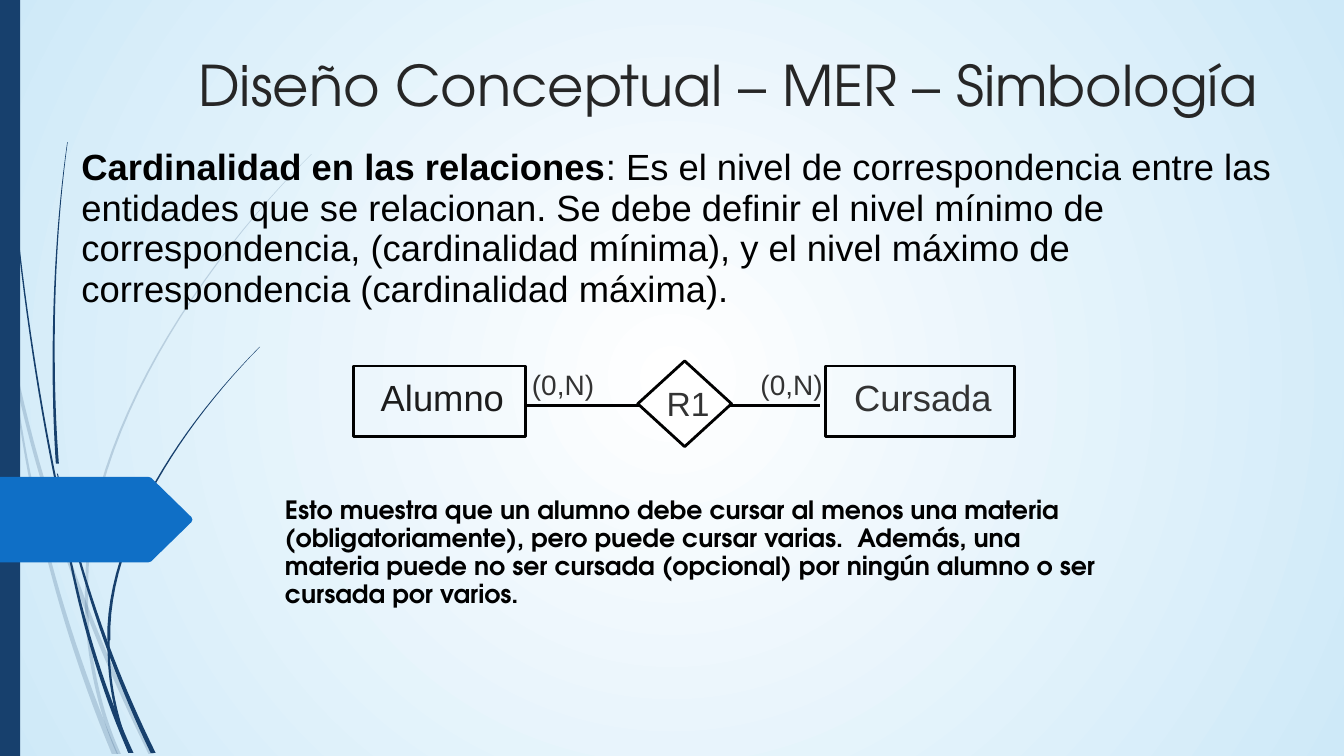
import dataclasses

import pptx
import pptx.dml.color
import pptx.enum.shapes
import pptx.enum.text
import pptx.oxml
import pptx.oxml.ns
import pptx.util

Pt = pptx.util.Pt
Shapes = pptx.enum.shapes.MSO_SHAPE


@dataclasses.dataclass(frozen=True)
class Theme:
    """Colours, fonts and type sizes of the slide."""
    navy: str = "17406D"
    blue: str = "0F6FC6"
    sky: str = "CEE9F8"
    white: str = "FFFFFF"
    black: str = "000000"
    title_ink: str = "262626"
    dark_ink: str = "1C1C1C"
    gray_ink: str = "333333"
    body_font: str = "Arial"
    display_font: str = "TeX Gyre Adventor"
    title_size: int = 40
    body_size: int = 26
    relation_size: int = 24
    cardinality_size: int = 20
    note_size: int = 18
    line_width: int = 2
    pale_opacity: int = 19


@dataclasses.dataclass(frozen=True)
class Wisp:
    """A tapering blade along a cubic curve, measured in grid steps."""
    start: tuple
    first_pull: tuple
    second_pull: tuple
    end: tuple
    start_width: float
    end_width: float

    def center(self, t):
        """Return the point of the curve at t from 0 to 1."""
        weights = ((1 - t) ** 3, 3 * t * (1 - t) ** 2, 3 * t ** 2 * (1 - t), t ** 3)
        anchors = (self.start, self.first_pull, self.second_pull, self.end)
        return tuple(sum(w * anchor[axis] for w, anchor in zip(weights, anchors))
                     for axis in (0, 1))

    def outline(self, steps=24):
        """Return the left edge downwards, then the right edge upwards."""
        left, right = [], []
        for step in range(steps + 1):
            t = step / steps
            x, y = self.center(t)
            half = (self.start_width + (self.end_width - self.start_width) * t) / 2
            left.append((x - half, y))
            right.append((x + half, y))
        return left + right[::-1]


THEME = Theme()
GRID = Pt(0.72)

PALE_WISPS = {
    "outer stem": Wisp((0, 285), (23, 440), (75, 598), (150, 748), 3, 5),
    "inner stem": Wisp((11, 350), (25, 485), (62, 625), (114, 748), 1, 6),
    "sweep": Wisp((309, 153), (200, 262), (86, 430), (86, 582), 0.5, 3),
    "sweep tail": Wisp((86, 582), (84, 640), (98, 705), (118, 748), 3, 4),
}
DARK_WISPS = {
    "tall stem": Wisp((3, 0), (4, 160), (28, 345), (56, 480), 0.5, 2),
    "outer stem": Wisp((57, 470), (79, 565), (105, 650), (152, 747), 1, 5),
    "inner stem": Wisp((58, 480), (68, 570), (95, 670), (130, 747), 1, 5),
    "needle": Wisp((67, 141), (51, 255), (51, 380), (57, 460), 0.5, 3),
    "sweep": Wisp((258, 344), (185, 418), (106, 530), (108, 635), 0.5, 3),
    "sweep tail": Wisp((108, 635), (107, 675), (115, 712), (129, 747), 2, 3),
}


def rgb(color):
    """Turn a hexadecimal string into a colour."""
    return pptx.dml.color.RGBColor.from_string(color)


def add_xml(parent, markup):
    """Append a DrawingML element written as markup."""
    namespace = pptx.oxml.ns.nsdecls("a")
    parent.append(pptx.oxml.parse_xml(markup.format(ns=namespace)))


def paint(shape, fill=None, line=None):
    """Set fill and outline of a shape; None leaves either one out."""
    shape.shadow.inherit = False
    if fill:
        shape.fill.solid()
        shape.fill.fore_color.rgb = rgb(fill)
    else:
        shape.fill.background()
    if line:
        shape.line.color.rgb = rgb(line)
        shape.line.width = Pt(THEME.line_width)
    else:
        shape.line.fill.background()


def paint_background(slide):
    """Fill the background with a radial gradient from white to sky blue."""
    fill = slide.background.fill
    fill.gradient()
    for stop, color in zip(fill.gradient_stops, (THEME.white, THEME.sky)):
        stop.color.rgb = rgb(color)
    gradient = slide.element.xpath(".//a:gradFill")[0]
    for linear in gradient.xpath("./a:lin"):
        gradient.remove(linear)
    add_xml(gradient, '<a:path {ns} path="circle">'
                      '<a:fillToRect l="50000" t="50000" r="50000" b="50000"/></a:path>')


def add_outline(slide, points, color, opacity=100):
    """Draw a filled closed outline through grid points."""
    corners = [(round(x * GRID), round(y * GRID)) for x, y in points]
    builder = slide.shapes.build_freeform(*corners[0])
    builder.add_line_segments(corners[1:], close=True)
    shape = builder.convert_to_shape()
    paint(shape, color)
    if opacity < 100:
        color_element = shape.element.xpath("./p:spPr/a:solidFill/a:srgbClr")[0]
        add_xml(color_element, f'<a:alpha {{ns}} val="{opacity * 1000}"/>')


def add_arrow_tag(slide):
    """Draw the tag with softened corners, its lower half mirroring the upper."""
    middle = 515.5
    upper = [(0, 473), (147, 473), (150, 474), (190, 513), (191, middle)]
    lower = [(x, 2 * middle - y) for x, y in reversed(upper[:-1])]
    add_outline(slide, upper + lower, THEME.blue)


def add_box(slide, kind, box, fill=None, line=None):
    """Add a preset shape at left, top, width and height in points."""
    shape = slide.shapes.add_shape(kind, *map(Pt, box))
    paint(shape, fill, line)


def add_link(slide, left, right, y):
    """Draw the horizontal line of the relation."""
    connector = slide.shapes.add_connector(
        pptx.enum.shapes.MSO_CONNECTOR.STRAIGHT, Pt(left), Pt(y), Pt(right), Pt(y))
    connector.line.color.rgb = rgb(THEME.black)
    connector.line.width = Pt(THEME.line_width)
    add_xml(connector.element.spPr, "<a:effectLst {ns}/>")


def style_run(run, size, color, font, bold=False):
    """Format one run of text."""
    run.font.size = Pt(size)
    run.font.color.rgb = rgb(color)
    run.font.name = font
    run.font.bold = bold


def add_text(slide, box, text, size, color, font=THEME.body_font, bold=False):
    """Add a wrapping text box and return its paragraph."""
    frame = slide.shapes.add_textbox(*map(Pt, box)).text_frame
    frame.word_wrap = True
    frame.text = text
    paragraph = frame.paragraphs[0]
    paragraph.line_spacing = 0.93
    style_run(paragraph.runs[0], size, color, font, bold)
    return paragraph


def add_entity(slide, left, width, name, name_left, color):
    """Add an entity rectangle with its name."""
    add_box(slide, Shapes.RECTANGLE, (left, 261.4, width, 50.4), line=THEME.black)
    add_text(slide, (name_left, 267.1, width - 19, 38.2), name, THEME.body_size, color)


def set_title(slide, text):
    """Place and format the title placeholder."""
    title = slide.shapes.title
    title.left, title.top, title.width, title.height = map(Pt, (141.8, 11.5, 771.1, 100.8))
    frame = title.text_frame
    frame.text = text
    frame.word_wrap = True
    frame.auto_size = pptx.enum.text.MSO_AUTO_SIZE.NONE
    frame.vertical_anchor = pptx.enum.text.MSO_ANCHOR.MIDDLE
    frame.margin_left = frame.margin_right = frame.margin_bottom = 0
    frame.margin_top = Pt(0.7)
    paragraph = frame.paragraphs[0]
    paragraph.alignment = pptx.enum.text.PP_ALIGN.LEFT
    paragraph.line_spacing = 0.98
    style_run(paragraph.runs[0], THEME.title_size, THEME.title_ink, THEME.display_font)


def add_decoration(slide):
    """Draw the wisps, the side bar and the arrow tag."""
    for wisps, opacity in ((PALE_WISPS, THEME.pale_opacity), (DARK_WISPS, 100)):
        for wisp in wisps.values():
            add_outline(slide, wisp.outline(), THEME.navy, opacity)
    add_box(slide, Shapes.RECTANGLE, (0, 0, 14.4, 540), fill=THEME.navy)
    add_arrow_tag(slide)


def add_diagram(slide):
    """Draw two entities joined by a relation with its cardinalities."""
    add_entity(slide, 252.7, 123.1, "Alumno", 265, THEME.dark_ink)
    add_entity(slide, 589.7, 135.4, "Cursada", 603.4, THEME.gray_ink)
    add_link(slide, 376.6, 586.1, 289.4)
    add_box(slide, Shapes.DIAMOND, (455.8, 257.8, 67, 61.2), THEME.white, THEME.black)
    add_text(slide, (469.4, 272.9, 59.8, 36), "R1", THEME.relation_size, THEME.gray_ink)
    for left in (373, 536.4):
        add_text(slide, (left, 261.4, 73.4, 31), "(0,N)", THEME.cardinality_size, THEME.gray_ink)


def add_definition(slide, term, meaning):
    """Add the definition with its term in bold."""
    paragraph = add_text(slide, (51.1, 102.2, 873.4, 67.7), term,
                         THEME.body_size, THEME.black, bold=True)
    run = paragraph.add_run()
    run.text = meaning
    style_run(run, THEME.body_size, THEME.black, THEME.body_font)


def main():
    """Build the slide and save it."""
    presentation = pptx.Presentation()
    presentation.slide_width, presentation.slide_height = Pt(960.48), Pt(540)
    slide = presentation.slides.add_slide(presentation.slide_layouts[5])
    paint_background(slide)
    add_decoration(slide)
    set_title(slide, "Diseño Conceptual – MER – Simbología")
    add_definition(
        slide, "Cardinalidad en las relaciones",
        ": Es el nivel de correspondencia entre las entidades que se relacionan. Se debe definir "
        "el nivel mínimo de correspondencia, (cardinalidad mínima), y el nivel máximo de "
        "correspondencia (cardinalidad máxima).")
    add_diagram(slide)
    add_text(slide, (196.6, 351.4, 612, 88.6),
             "Esto muestra que un alumno debe cursar al menos una materia (obligatoriamente), pero "
             "puede cursar varias.  Además, una materia puede no ser cursada (opcional) por ningún "
             "alumno o ser cursada por varios.",
             THEME.note_size, THEME.black, THEME.display_font, bold=True)
    presentation.save("out.pptx")


if __name__ == "__main__":
    main()
